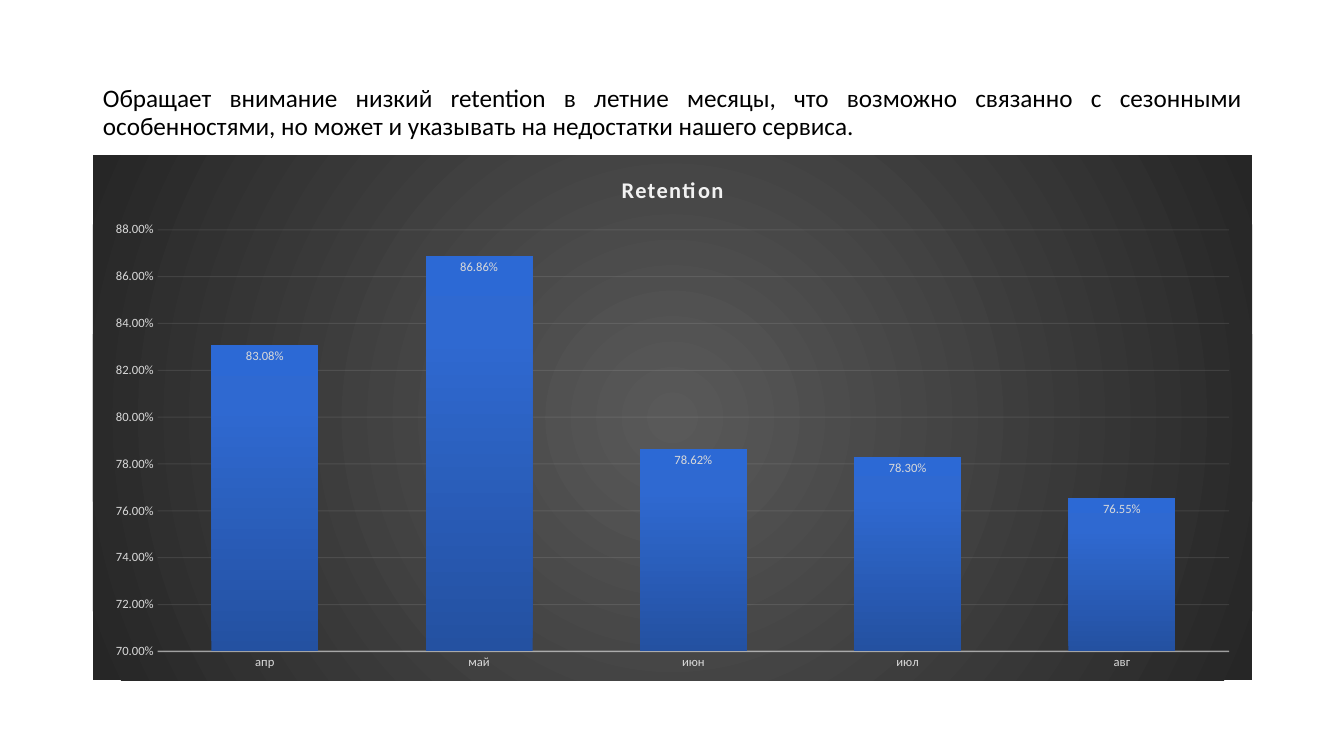
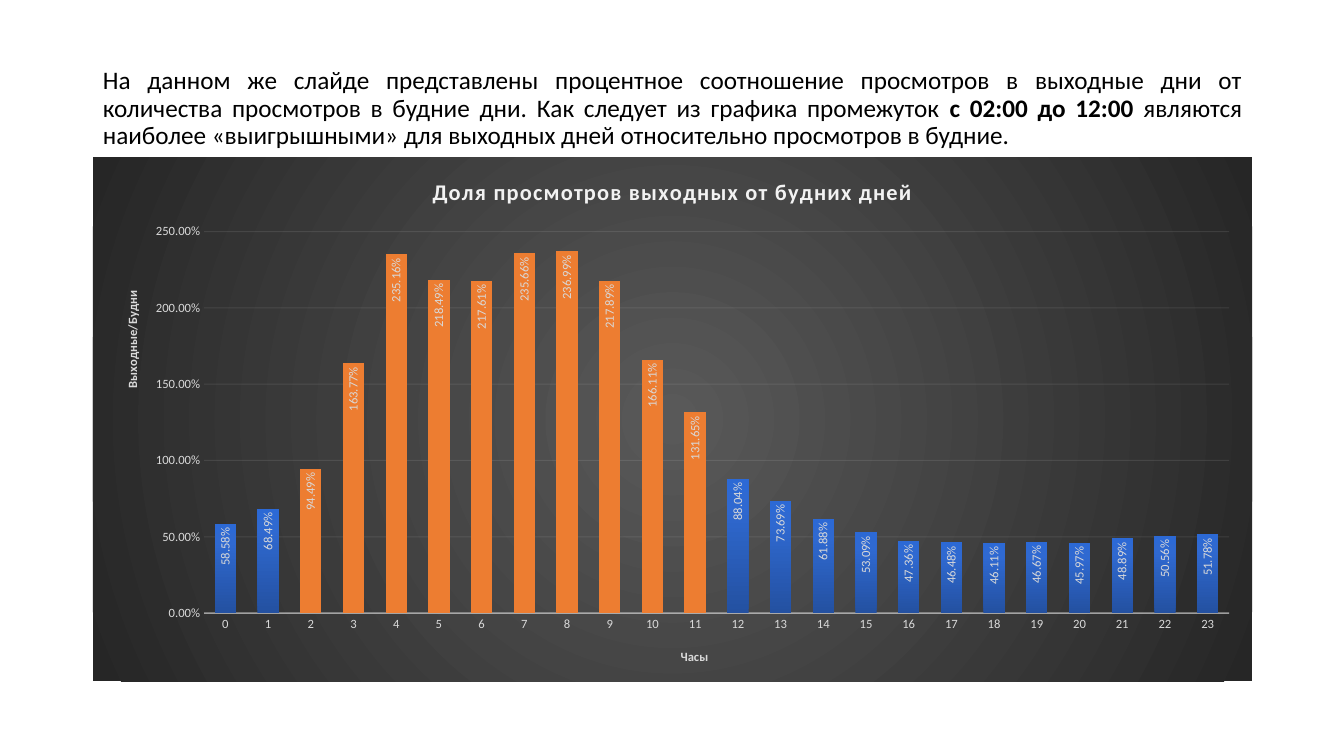
from lxml import etree
from pptx import Presentation
from pptx.chart.data import CategoryChartData
from pptx.dml.color import RGBColor
from pptx.enum.chart import XL_CHART_TYPE as CT, XL_LABEL_POSITION as LP, XL_TICK_MARK as TM
from pptx.enum.text import MSO_ANCHOR, PP_ALIGN
from pptx.oxml import parse_xml
from pptx.oxml.ns import nsdecls, qn
from pptx.util import Inches, Pt

COLORS = {
    "text": "000000", "title": "F2F2F2", "label": "D9D9D9", "line": "F2F2F2",
    "center": "595959", "edge": "262626", "highlight": "ED7D31",
    "bar_low": "2451A1", "bar_mid": "2F69D1", "bar_top": "2C69D5",
}
FONT = "Calibri"
PERCENT = "0.00%"
LEFT, WIDTH = 0.92, 11.5
UPWARD = '<a:lin ang="16200000" scaled="0"/>'
RADIAL = '<a:path path="circle"><a:fillToRect l="50000" t="50000" r="50000" b="50000"/></a:path>'


def rgb(name):
    return RGBColor.from_string(COLORS[name])


def gradient(stops, direction):
    marks = "".join(f'<a:gs pos="{pos * 1000}"><a:srgbClr val="{COLORS[name]}"/></a:gs>'
                    for pos, name in stops)
    return f'<a:gradFill {nsdecls("a")}><a:gsLst>{marks}</a:gsLst>{direction}</a:gradFill>'


class Deck:
    """Holds the presentation, its style and the current slide."""

    def __init__(self):
        self.prs = Presentation()
        self.prs.slide_width, self.prs.slide_height = Inches(13.33), Inches(7.5)
        self.slide = None

    def add_slide(self, height, *parts):
        """Start a slide; parts of its title are (text, bold) pairs."""
        self.slide = self.prs.slides.add_slide(self.prs.slide_layouts[5])
        sp = self.slide.shapes.title
        sp.left, sp.top = Inches(LEFT), Inches(0.4)
        sp.width, sp.height = Inches(WIDTH), Inches(height)
        tf = sp.text_frame
        tf.word_wrap, tf.vertical_anchor = True, MSO_ANCHOR.MIDDLE
        p = tf.paragraphs[0]
        p.alignment, p.line_spacing = PP_ALIGN.JUSTIFY, 0.9
        for text, bold in parts:
            r = p.add_run()
            r.text = text
            self.style(r.font, 18, "text", bold)

    def style(self, font, size, color, bold=False):
        font.name, font.size, font.bold = FONT, Pt(size), bold
        font.color.rgb = rgb(color)

    def line(self, fmt, width, opacity):
        fmt.line.width = Pt(width)
        fmt.line.color.rgb = rgb("line")
        color = fmt.element.find(qn("c:spPr")).find(".//" + qn("a:srgbClr"))
        etree.SubElement(color, qn("a:alpha"), val=str(opacity * 1000))

    def layout(self, element, index, box, inner=False):
        """Place a chart part by fractions of the chart: x, y and maybe w, h."""
        for old in element.findall(qn("c:layout")):
            element.remove(old)
        target = '<c:layoutTarget val="inner"/>' if inner else ""
        modes = '<c:xMode val="edge"/><c:yMode val="edge"/>'
        sizes = "".join(f'<c:{key} val="{value}"/>' for key, value in zip("xywh", box))
        element.insert(index, parse_xml(
            f'<c:layout {nsdecls("c")}><c:manualLayout>{target}{modes}{sizes}'
            '</c:manualLayout></c:layout>'))

    def heading(self, title, text, size, color, spacing=0, rotation=0):
        tf = title.text_frame
        tf.text = text
        r = tf.paragraphs[0].runs[0]
        self.style(r.font, size, color, True)
        r.font.element.set("spc", str(spacing)) if hasattr(r.font, "element") else \
            r._r.get_or_add_rPr().set("spc", str(spacing))
        tf._txBody.find(qn("a:bodyPr")).set("rot", str(rotation * 60000))

    def axis_title(self, axis, text, place, rotation=0):
        self.heading(axis.axis_title, text, 9, "label", rotation=rotation)
        self.layout(axis.axis_title.element, 1, place)

    def column_chart(self, top, height, title, name, cats, vals, scale, plot_box):
        data = CategoryChartData(number_format=PERCENT)
        data.categories = cats
        data.add_series(name, vals)
        chart = self.slide.shapes.add_chart(
            CT.COLUMN_CLUSTERED, Inches(LEFT), Inches(top), Inches(WIDTH), Inches(height),
            data).chart
        self.style(chart.font, 10, "text")
        chart.has_legend = False
        chart.has_title = True
        chart.chart_title.include_in_layout = False
        self.heading(chart.chart_title, title, 16, "title", spacing=100)

        # Dark radial background
        frame = chart.element.find(qn("c:chart"))
        fill = gradient([(0, "center"), (100, "edge")], RADIAL)
        frame.addnext(parse_xml(
            f'<c:spPr {nsdecls("c", "a")}>{fill}<a:ln><a:noFill/></a:ln></c:spPr>'))
        self.layout(frame.find(qn("c:plotArea")), 0, plot_box, inner=True)

        # Axes
        cat_axis, val_axis = chart.category_axis, chart.value_axis
        for axis in (cat_axis, val_axis):
            axis.major_tick_mark = axis.minor_tick_mark = TM.NONE
            self.style(axis.tick_labels.font, 9, "label")
        cat_axis.has_major_gridlines = False
        self.line(cat_axis.format, 1, 54)
        val_axis.format.line.fill.background()
        val_axis.has_major_gridlines = True
        self.line(val_axis.major_gridlines.format, 0.75, 10)
        val_axis.minimum_scale, val_axis.maximum_scale, val_axis.major_unit = scale
        val_axis.tick_labels.number_format = PERCENT
        val_axis.tick_labels.number_format_is_linked = False

        # Columns and their labels
        plot = chart.plots[0]
        plot.gap_width, plot.overlap, plot.vary_by_categories = 100, -24, False
        series = plot.series[0]
        series.format.fill.background()
        spPr = series.format.element.find(qn("c:spPr"))
        bars = gradient([(0, "bar_low"), (80, "bar_mid"), (100, "bar_top")], UPWARD)
        spPr.replace(spPr.find(qn("a:noFill")), parse_xml(bars))
        labels = series.data_labels
        labels.show_value, labels.position = True, LP.INSIDE_END
        labels.number_format, labels.number_format_is_linked = PERCENT, False
        self.style(labels.font, 9, "label")
        return chart

    def highlight(self, series, indexes):
        for i in indexes:
            fill = series.points[i].format.fill
            fill.solid()
            fill.fore_color.rgb = rgb("highlight")

    def upright_labels(self, series):
        txPr = series.format.element.find(qn("c:dLbls")).find(qn("c:txPr"))
        body = txPr.find(qn("a:bodyPr"))
        body.set("rot", "-5400000")
        body.set("vert", "horz")


deck = Deck()

# Slide 1: monthly retention
deck.add_slide(1.45, (
    "Обращает внимание низкий retention в летние месяцы, что возможно связанно с сезонными "
    "особенностями, но может и указывать на недостатки нашего сервиса.", False))
deck.column_chart(
    1.54, 5.21, "Retention", "Retention", ["апр", "май", "июн", "июл", "авг"],
    [0.8308, 0.8686, 0.7862, 0.783, 0.7655], (0.7, 0.88, 0.02), (0.056, 0.142, 0.924, 0.803))

# Slide 2: weekend views against weekday views by hour
deck.add_slide(
    1.36,
    ("На данном же слайде представлены процентное соотношение просмотров в выходные дни от "
     "количества просмотров в будние дни. Как следует из графика промежуток ", False),
    ("с 02:00 до 12:00 ", True),
    ("являются наиболее «выигрышными» для выходных дней относительно просмотров в будние.",
     False))
hourly = [
    0.5858, 0.6849, 0.9449, 1.6377, 2.3516, 2.1849, 2.1761, 2.3566, 2.3699, 2.1789, 1.6611,
    1.3165, 0.8804, 0.7369, 0.6188, 0.5309, 0.4736, 0.4648, 0.4611, 0.4667, 0.4597, 0.4889,
    0.5056, 0.5178]
chart = deck.column_chart(
    1.56, 5.2, "Доля просмотров выходных от будних дней", "Series 1",
    [str(hour) for hour in range(24)], hourly, (0, 2.5, 0.5), (0.096, 0.142, 0.884, 0.728))
deck.axis_title(chart.category_axis, "Часы", (0.505, 0.933))
deck.axis_title(chart.value_axis, "Выходные/Будни", (0.025, 0.25), rotation=-90)
views = chart.plots[0].series[0]
deck.highlight(views, range(2, 12))
deck.upright_labels(views)

deck.prs.save("out.pptx")
